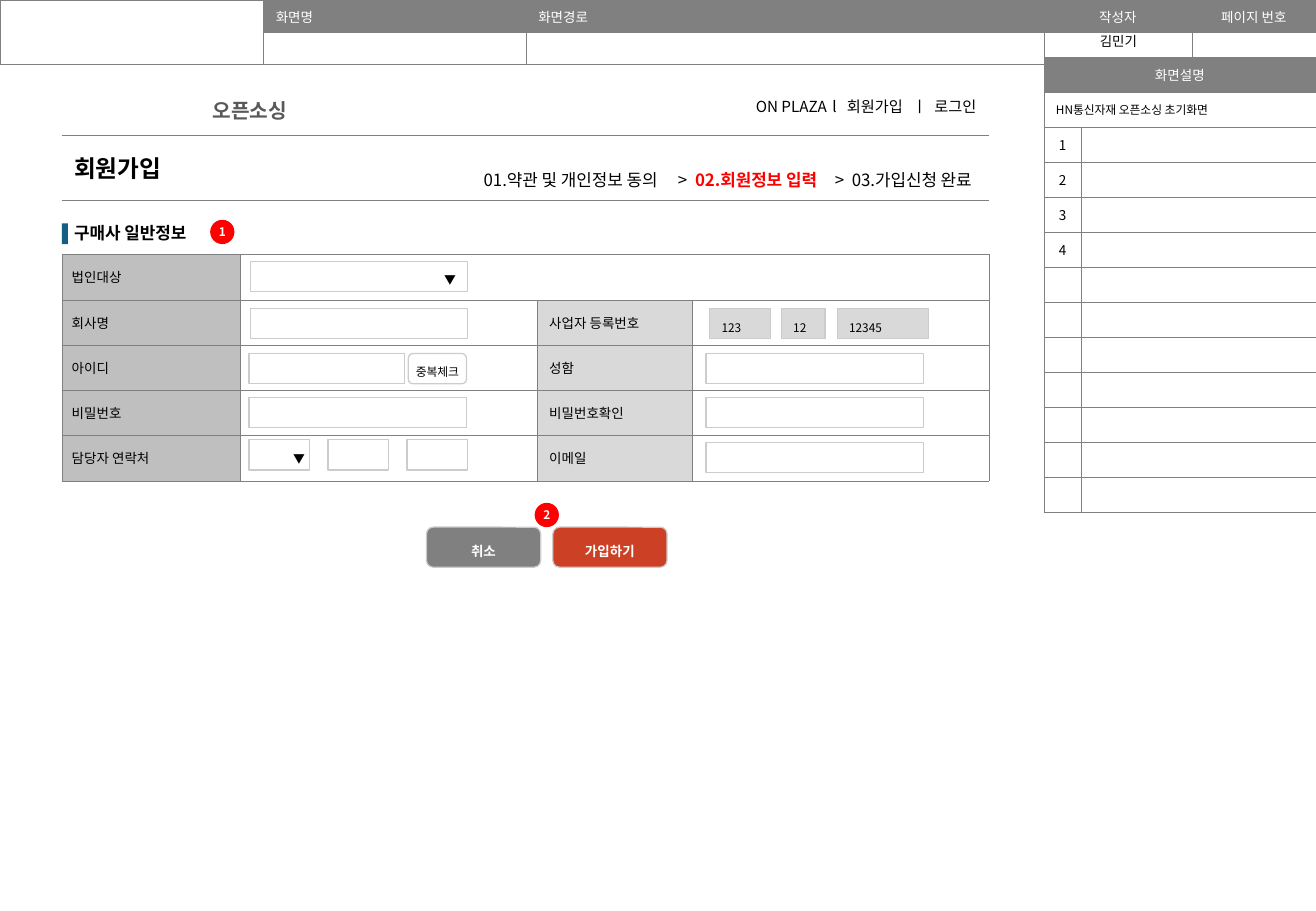
import collections
import itertools

import pptx
import pptx.dml.color
import pptx.enum.shapes
import pptx.enum.text
import pptx.oxml
import pptx.oxml.ns
import pptx.util
from lxml import etree

Inches = pptx.util.Inches
Pt = pptx.util.Pt
ALIGN = pptx.enum.text.PP_ALIGN
SHAPE = pptx.enum.shapes.MSO_SHAPE
MIDDLE = pptx.enum.text.MSO_ANCHOR.MIDDLE
qn = pptx.oxml.ns.qn

FONT = "Noto Sans CJK KR"
COLORS = {
    "black": "000000", "white": "FFFFFF", "gray": "808080", "dark": "595959",
    "label": "BFBFBF", "sublabel": "D9D9D9", "outline": "CCCCCC",
    "red": "FF0000", "join": "CC4125", "marker": "156082",
}
Box = collections.namedtuple("Box", "left top width height")


def color(name):
    return pptx.dml.color.RGBColor.from_string(COLORS[name])


def inside(box, left, top, width, height):
    return Box(box.left + left, box.top + top, width, height)


def set_font(font, size, name="black", bold=False):
    font.size, font.bold, font.name = Pt(size), bold, FONT
    font.color.rgb = color(name)
    if font._element.find(qn("a:ea")) is None:
        etree.SubElement(font._element, qn("a:ea"), typeface=FONT)


def set_frame(frame, margins, wrap=True):
    frame.word_wrap = wrap
    frame.auto_size = pptx.enum.text.MSO_AUTO_SIZE.NONE
    frame.vertical_anchor = MIDDLE
    horizontal, vertical = margins
    frame.margin_left = frame.margin_right = Inches(horizontal)
    frame.margin_top = frame.margin_bottom = Inches(vertical)


def write_text(shape, text, size, name="black", bold=False, align=ALIGN.LEFT, wrap=True):
    set_frame(shape.text_frame, (0.1, 0.05), wrap)
    paragraph = shape.text_frame.paragraphs[0]
    paragraph.text, paragraph.alignment = text, align
    set_font(paragraph.font, size, name, bold)


def add_tabbed_text(slide, box, parts, stops, size):
    """parts holds (text, color, bold), one for each tab column."""
    frame = slide.shapes.add_textbox(*map(Inches, box)).text_frame
    set_frame(frame, (0, 0.05))
    paragraph = frame.paragraphs[0]
    tab_list = etree.SubElement(paragraph._p.get_or_add_pPr(), qn("a:tabLst"))
    for stop in stops:
        etree.SubElement(tab_list, qn("a:tab"), pos=str(Inches(stop)), algn="l")
    for index, (text, name, bold) in enumerate(parts):
        run = paragraph.add_run()
        run.text = "\t" + text if index else text
        set_font(run.font, size, name, bold)


def add_block(slide, kind, box, fill, line=None, text="", size=7, name="black",
              bold=False, align=ALIGN.LEFT, margins=(0.1, 0.1), spacing=1.5):
    shape = slide.shapes.add_shape(kind, *map(Inches, box))
    shape.shadow.inherit = False
    shape.fill.solid()
    shape.fill.fore_color.rgb = color(fill)
    if line:
        shape.line.color.rgb = color(line)
        shape.line.width = Pt(0.75)
    else:
        shape.line.fill.background()
    if text:
        set_frame(shape.text_frame, margins)
        paragraph = shape.text_frame.paragraphs[0]
        paragraph.text, paragraph.alignment = text, align
        paragraph.line_spacing = spacing
        set_font(paragraph.font, size, name, bold)


def add_badge(slide, left, top, number):
    add_block(slide, SHAPE.OVAL, Box(left, top, 0.2, 0.2), "red", None, number, 7,
              "white", True, ALIGN.CENTER, (0, 0), 1)


def add_grid(slide, box, columns, rows, fill=None):
    table = slide.shapes.add_table(len(rows), len(columns), *map(Inches, box)).table
    table.first_row = table.horz_banding = False
    for column, width in zip(table.columns, columns):
        column.width = Inches(width)
    for row, height in zip(table.rows, rows):
        row.height = Inches(height)
    for row, column in itertools.product(range(len(rows)), range(len(columns))):
        fill_cell(table.cell(row, column), fill=fill)
    return table


def fill_cell(cell, text="", size=8, name="black", bold=False, align=ALIGN.LEFT,
              fill=None, margin=0.1, sides="LRTB"):
    cell.vertical_anchor = MIDDLE
    cell.margin_left = cell.margin_right = Inches(margin)
    paragraph = cell.text_frame.paragraphs[0]
    paragraph.text, paragraph.alignment = text, align
    set_font(paragraph.font, size, name, bold)
    paragraph._p.get_or_add_endParaRPr().set("sz", str(size * 100))
    # Borders come before the fill in the cell properties
    properties = cell._tc.get_or_add_tcPr()
    for child in list(properties):
        properties.remove(child)
    for side in "LRTB":
        border = etree.SubElement(properties, qn("a:ln" + side), w=str(Pt(0.25)))
        if side in sides:
            solid = etree.SubElement(border, qn("a:solidFill"))
            etree.SubElement(solid, qn("a:srgbClr"), val=COLORS["gray"])
        else:
            etree.SubElement(border, qn("a:noFill"))
    if fill:
        cell.fill.solid()
        cell.fill.fore_color.rgb = color(fill)
    else:
        cell.fill.background()


def page_header(slide, box):
    table = add_grid(slide, box, [2.17, 2.16, 4.26, 1.22, 1.02], [box.height / 2] * 2)
    table.cell(0, 0).merge(table.cell(1, 0))
    for column, text in enumerate(["화면명", "화면경로", "작성자", "페이지 번호"], 1):
        align = ALIGN.CENTER if column > 2 else ALIGN.LEFT
        fill_cell(table.cell(0, column), text, name="white", align=align, fill="gray")
    author = slide.shapes.add_textbox(*map(Inches, inside(box, 8.59, 0.22, 1.23, 0.24)))
    write_text(author, "김민기", 8, align=ALIGN.CENTER)


def site_heading(slide, box):
    # Site name and menu
    title = slide.shapes.title
    title.left, title.top, title.width, title.height = map(
        Inches, inside(box, 1.14, 0, 0.88, 0.3))
    write_text(title, "오픈소싱", 12, "dark", True, wrap=False)
    menu = ["ON PLAZA", "l", "회원가입", "ㅣ", "로그인"]
    add_tabbed_text(slide, inside(box, 5.71, -0.03, 2.1, 0.3),
                    [(text, "black", False) for text in menu], [0.63, 0.75, 1.29, 1.47], 9)
    # Page name between two rules
    table = add_grid(slide, inside(box, 0, 0.35, box.width, 0.54), [box.width], [0.54])
    fill_cell(table.cell(0, 0), "회원가입", 14, bold=True, sides="TB")
    # Steps
    steps = [("01.약관 및 개인정보 동의", "black", False), (">", "black", False),
             ("02.회원정보 입력", "red", True), (">", "black", False),
             ("03.가입신청 완료", "black", False)]
    add_tabbed_text(slide, inside(box, 3.47, 0.57, 4.3, 0.3), steps, [1.6, 1.74, 2.89, 3.03], 10)


def member_form(slide, box):
    table = add_grid(slide, box, [1.47, 2.44, 1.28, 2.44], [0.35, 0.38, 0.37, 0.37, 0.37, 0.38])
    table.cell(0, 0).merge(table.cell(0, 3))
    table.cell(1, 1).merge(table.cell(1, 3))
    for column in range(4):
        fill_cell(table.cell(0, column), sides="B")
    fill_cell(table.cell(0, 0), "구매사 일반정보", 10, bold=True, sides="B")
    labels = [("법인대상", ""), ("회사명", "사업자 등록번호"), ("아이디", "성함"),
              ("비밀번호", "비밀번호확인"), ("담당자 연락처", "이메일")]
    for row, (label, sublabel) in enumerate(labels, 1):
        fill_cell(table.cell(row, 0), label, fill="label", margin=0.08)
        if sublabel:
            fill_cell(table.cell(row, 2), sublabel, fill="sublabel")
    add_block(slide, SHAPE.RECTANGLE, inside(box, 0, 0.1, 0.05, 0.17), "marker")
    add_badge(slide, box.left + 1.22, box.top + 0.07, "1")
    # Input fields: left, top, width
    for left, top, width in [(1.55, 0.8, 1.79), (1.54, 1.17, 1.28), (5.3, 1.17, 1.79),
                             (1.54, 1.53, 1.79), (5.3, 1.53, 1.79), (2.19, 1.88, 0.5),
                             (2.84, 1.88, 0.5), (5.3, 1.9, 1.79)]:
        add_block(slide, SHAPE.RECTANGLE, inside(box, left, top, width, 0.25), "white", "outline")
    # Drop-down lists
    for left, top, width, margin in [(1.55, 0.41, 1.79, 0.1), (1.54, 1.88, 0.5, 0.04)]:
        add_block(slide, SHAPE.RECTANGLE, inside(box, left, top, width, 0.25), "white",
                  "outline", "▼", align=ALIGN.RIGHT, margins=(margin, 0.1))
    # Registration number
    for left, width, text in [(5.33, 0.5, "123"), (5.92, 0.36, "12"), (6.38, 0.75, "12345")]:
        add_block(slide, SHAPE.RECTANGLE, inside(box, left, 0.8, width, 0.25), "sublabel",
                  "outline", text)
    add_block(slide, SHAPE.ROUNDED_RECTANGLE, inside(box, 2.85, 1.17, 0.48, 0.25), "white",
              "outline", "중복체크", align=ALIGN.CENTER, margins=(0, 0.1))


def form_buttons(slide, box):
    for left, text, fill in [(0, "취소", "gray"), (1.04, "가입하기", "join")]:
        add_block(slide, SHAPE.ROUNDED_RECTANGLE, inside(box, left, 0, 0.94, box.height), fill,
                  "outline", text, 8, "white", True, ALIGN.CENTER)
    add_badge(slide, box.left + 0.89, box.top - 0.2, "2")


def description_panel(slide, box):
    table = add_grid(slide, box, [0.31, 1.93], [box.height / 13] * 13, "white")
    for row in range(2):
        table.cell(row, 0).merge(table.cell(row, 1))
    fill_cell(table.cell(0, 0), "화면설명", name="white", align=ALIGN.CENTER, fill="gray")
    fill_cell(table.cell(1, 0), "HN통신자재 오픈소싱 초기화면", 7, fill="white")
    for number in range(1, 5):
        fill_cell(table.cell(number + 1, 0), str(number), align=ALIGN.CENTER, fill="white")


def main():
    presentation = pptx.Presentation()
    presentation.slide_width, presentation.slide_height = Inches(10.83), Inches(7.5)
    slide = presentation.slides.add_slide(presentation.slide_layouts[5])
    page_header(slide, Box(0, 0, 10.83, 0.53))
    site_heading(slide, Box(0.51, 0.76, 7.63, 0.89))
    member_form(slide, Box(0.51, 1.74, 7.63, 2.22))
    form_buttons(slide, Box(3.51, 4.34, 1.98, 0.33))
    description_panel(slide, Box(8.59, 0.47, 2.24, 3.75))
    presentation.save("out.pptx")


if __name__ == "__main__":
    main()
